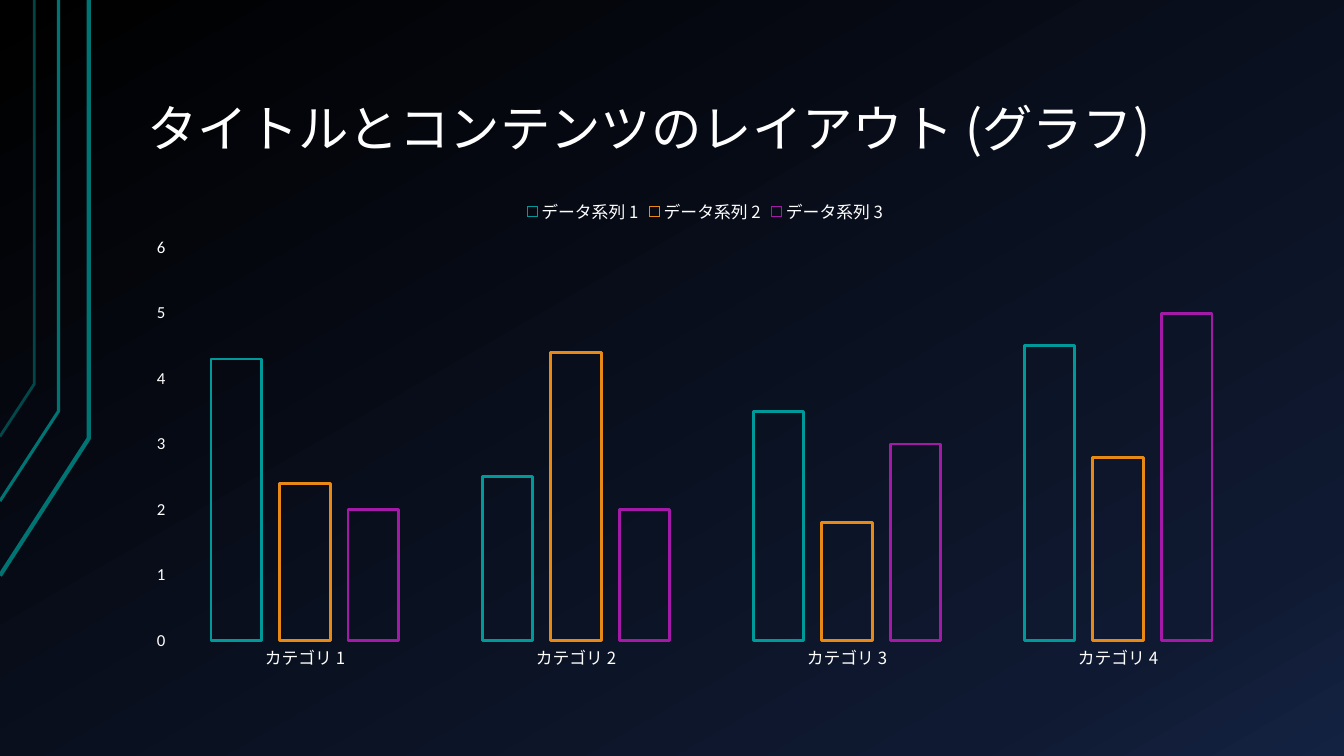
"""Build a dark slide with a title and a clustered column chart in outline style."""
from dataclasses import dataclass

from lxml import etree
from pptx import Presentation
from pptx.chart.data import CategoryChartData
from pptx.dml.color import RGBColor
from pptx.enum.chart import XL_CHART_TYPE, XL_LEGEND_POSITION, XL_TICK_MARK
from pptx.enum.text import MSO_ANCHOR, MSO_AUTO_SIZE, PP_ALIGN
from pptx.oxml.ns import qn
from pptx.util import Inches, Pt

COLUMNS = XL_CHART_TYPE.COLUMN_CLUSTERED
LEGEND_TOP = XL_LEGEND_POSITION.TOP
NO_TICK = XL_TICK_MARK.NONE
BOTTOM = MSO_ANCHOR.BOTTOM
NO_FIT = MSO_AUTO_SIZE.NONE
LEFT = PP_ALIGN.LEFT


@dataclass(frozen=True)
class Theme:
    """Colours, fonts and type sizes of the slide."""

    text: str = "FFFFFF"
    stripe: str = "007373"
    series: tuple = ("009999", "E98915", "A419A7")
    background: tuple = ((0, "000000"), (85, "0F1931"), (100, "142242"))
    japanese: str = "Noto Sans CJK JP"
    latin: str = "Calibri"
    title_size: int = 36
    label_size: int = 12
    chart_size: int = 10


THEME = Theme()


def style_font(font, size, name):
    """Set size, colour and typeface, for Latin and East Asian text alike."""
    font.size = Pt(size)
    font.color.rgb = RGBColor.from_string(THEME.text)
    font.name = name
    etree.SubElement(font._rPr, qn("a:ea"), typeface=name)


deck = Presentation()
deck.slide_width = Inches(13.33)
deck.slide_height = Inches(7.5)
page = deck.slides.add_slide(deck.slide_layouts[5])

backdrop = page.background.fill
backdrop.gradient()
backdrop.gradient_angle = 300
stop_list = next(page.background._cSld.iter(qn("a:gsLst")))
for old_stop in list(stop_list):
    stop_list.remove(old_stop)
for percent, colour in THEME.background:
    stop = etree.SubElement(stop_list, qn("a:gs"), pos=str(percent * 1000))
    etree.SubElement(stop, qn("a:srgbClr"), val=colour)

stripes = [
    (5.71, 0.88, 4.35, 3, 100),
    (4.97, 0.58, 4.08, 2.25, 100),
    (4.33, 0.34, 3.81, 2, 60),
]
for foot, edge, bend, weight, opacity in stripes:
    builder = page.shapes.build_freeform(0, Inches(foot))
    corners = [(Inches(edge), Inches(bend)), (Inches(edge), 0)]
    builder.add_line_segments(corners, close=False)
    stripe = builder.convert_to_shape()
    stripe.shadow.inherit = False
    stripe.fill.background()
    stripe.line.width = Pt(weight)
    stripe.line.color.rgb = RGBColor.from_string(THEME.stripe)
    if opacity < 100:
        stripe_colour = next(stripe.line._ln.iter(qn("a:srgbClr")))
        etree.SubElement(stripe_colour, qn("a:alpha"), val=str(opacity * 1000))

title = page.shapes.title
title.left, title.top = Inches(1.33), Inches(0.3)
title.width, title.height = Inches(11.33), Inches(1.34)
frame = title.text_frame
frame.word_wrap = True
frame.auto_size = NO_FIT
frame.vertical_anchor = BOTTOM
frame.margin_left = frame.margin_right = Inches(0.13)
frame.margin_top = frame.margin_bottom = Inches(0.07)
para = frame.paragraphs[0]
para.alignment = LEFT
para.line_spacing = 0.9
span = para.add_run()
span.text = "タイトルとコンテンツのレイアウト (グラフ)"
style_font(span.font, THEME.title_size, THEME.japanese)

data = CategoryChartData()
data.categories = [f"カテゴリ {number}" for number in range(1, 5)]
series_values = [(4.3, 2.5, 3.5, 4.5), (2.4, 4.4, 1.8, 2.8), (2, 2, 3, 5)]
for number, values in enumerate(series_values, 1):
    data.add_series(f"データ系列 {number}", values)
chart = page.shapes.add_chart(
    COLUMNS, Inches(1.33), Inches(1.86), Inches(11.33), Inches(4.88), data
).chart
style_font(chart.font, THEME.chart_size, THEME.latin)
chart.has_title = False
chart.has_legend = True
chart.legend.position = LEGEND_TOP
chart.legend.include_in_layout = False
style_font(chart.legend.font, THEME.label_size, THEME.japanese)

axes = [(chart.category_axis, THEME.japanese), (chart.value_axis, THEME.latin)]
for axis, typeface in axes:
    axis.has_major_gridlines = False
    axis.major_tick_mark = axis.minor_tick_mark = NO_TICK
    axis.format.line.fill.background()
    style_font(axis.tick_labels.font, THEME.label_size, typeface)
chart.value_axis.minimum_scale = 0
chart.value_axis.maximum_scale = 6
chart.value_axis.major_unit = 1

plot = chart.plots[0]
plot.vary_by_categories = False
plot.gap_width = 164
plot.overlap = -35
for series, colour in zip(plot.series, THEME.series):
    series.format.fill.background()
    series.format.line.width = Pt(2)
    series.format.line.color.rgb = RGBColor.from_string(colour)

deck.save("out.pptx")
